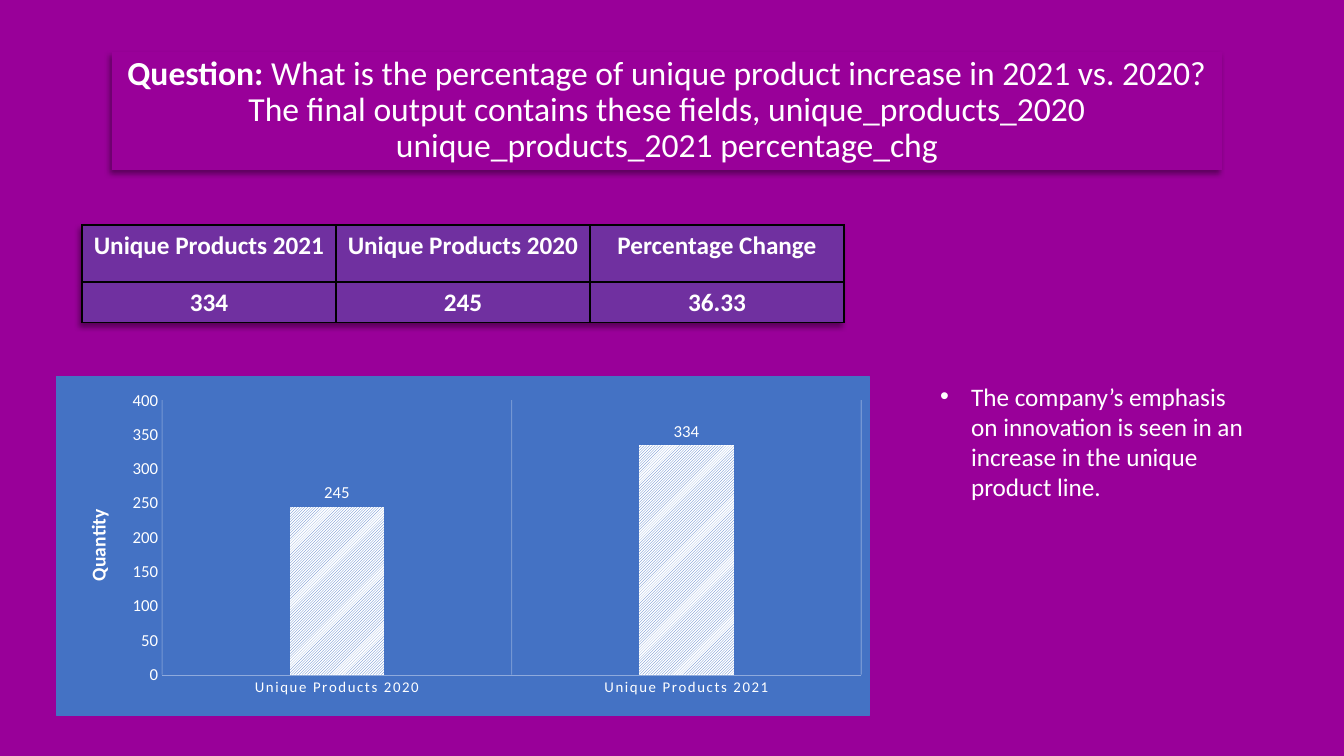
"""Build the unique product increase slide."""
import dataclasses

import pptx
import pptx.chart.data
import pptx.dml.color
import pptx.enum.chart
import pptx.enum.dml
import pptx.enum.text
import pptx.oxml
import pptx.oxml.ns
import pptx.util

Pt = pptx.util.Pt
RGBColor = pptx.dml.color.RGBColor
PURPLE = RGBColor(0x99, 0x00, 0x99)
VIOLET = RGBColor(0x70, 0x30, 0xA0)
BLUE = RGBColor(0x44, 0x72, 0xC4)
PALE_BLUE = RGBColor(0x8F, 0xAA, 0xDC)
WHITE = RGBColor(0xFF, 0xFF, 0xFF)
BLACK = RGBColor(0x00, 0x00, 0x00)
FONT = "Calibri"
NS = pptx.oxml.ns.nsdecls("a", "c")
SCALE = 12192000 / 1344


@dataclasses.dataclass(frozen=True)
class Box:
    left: int
    top: int
    width: int
    height: int

    def emu(self) -> list[int]:
        return [px(v) for v in dataclasses.astuple(self)]


@dataclasses.dataclass(frozen=True)
class Column:
    heading: str
    value: str


COLUMNS = [
    Column("Unique Products 2021", "334"),
    Column("Unique Products 2020", "245"),
    Column("Percentage Change", "36.33"),
]
ROW_HEIGHTS = [57, 40]


def px(value: int) -> int:
    return round(value * SCALE)


def xml(text: str):
    return pptx.oxml.parse_xml(text.replace(" NS", f" {NS}", 1))


def shadow():
    return xml(
        '<a:effectLst NS><a:outerShdw blurRad="50800" dist="38100" dir="8100000" '
        'algn="tr" rotWithShape="0"><a:srgbClr val="000000"><a:alpha val="40000"/>'
        "</a:srgbClr></a:outerShdw></a:effectLst>"
    )


def style(font, size: float, bold: bool = False) -> None:
    font.name, font.size, font.bold = FONT, Pt(size), bold
    font.color.rgb = WHITE


def add_run(p, text: str, size: float, bold: bool = False) -> None:
    r = p.add_run()
    r.text = text
    style(r.font, size, bold)


def place(sp, box: Box) -> None:
    sp.left, sp.top, sp.width, sp.height = box.emu()


def add_title(sp, box: Box) -> None:
    place(sp, box)
    sp.fill.solid()
    sp.fill.fore_color.rgb = PURPLE
    sp.element.spPr.append(shadow())
    tf = sp.text_frame
    tf.word_wrap = True
    tf.auto_size = pptx.enum.text.MSO_AUTO_SIZE.NONE
    tf.vertical_anchor = pptx.enum.text.MSO_ANCHOR.BOTTOM
    p = tf.paragraphs[0]
    p.alignment = pptx.enum.text.PP_ALIGN.CENTER
    p.line_spacing = 0.9
    add_run(p, "Question: ", 24, True)
    add_run(p, "What is the percentage of unique product increase in 2021 vs. 2020?", 24)
    p.add_line_break()
    add_run(p, "The final output contains these fields, unique_products_2020 "
               "unique_products_2021 percentage_chg", 24)


def add_body(sp, box: Box) -> None:
    place(sp, box)
    tf = sp.text_frame
    tf.word_wrap = True
    tf.auto_size = pptx.enum.text.MSO_AUTO_SIZE.NONE
    p = tf.paragraphs[0]
    p.space_before = Pt(0)
    add_run(p, "The company’s emphasis on innovation is seen in an increase "
               "in the unique product line.", 18)
    pPr = p._p.get_or_add_pPr()
    pPr.set("marL", str(px(31)))
    pPr.set("indent", str(-px(31)))
    pPr.append(xml('<a:buFont NS typeface="Arial"/>'))
    pPr.append(xml('<a:buChar NS char="•"/>'))


def fill_cell(cell, text: str) -> None:
    p = cell.text_frame.paragraphs[0]
    p.alignment = pptx.enum.text.PP_ALIGN.CENTER
    add_run(p, text, 18, True)
    tcPr = cell._tc.get_or_add_tcPr()
    for side in ("lnL", "lnR", "lnT", "lnB"):
        tcPr.append(xml(f'<a:{side} NS w="12700"><a:solidFill><a:srgbClr val="{BLACK}"/>'
                        f"</a:solidFill></a:{side}>"))
    cell.fill.solid()
    cell.fill.fore_color.rgb = VIOLET


def add_results(s, box: Box) -> None:
    table = s.shapes.add_table(len(ROW_HEIGHTS), len(COLUMNS), *box.emu()).table
    table._tbl.tblPr.insert(0, shadow())
    for row, height in zip(table.rows, ROW_HEIGHTS):
        row.height = px(height)
    for i, column in enumerate(COLUMNS):
        table.columns[i].width = px(box.width // len(COLUMNS))
        for j, text in enumerate(dataclasses.astuple(column)):
            fill_cell(table.cell(j, i), text)


def layout(**parts: float):
    target = '<c:layoutTarget val="inner"/>' if "w" in parts else ""
    modes = "".join(f'<c:{k}Mode val="edge"/>' for k in parts if k in "xy")
    values = "".join(f'<c:{k} val="{v}"/>' for k, v in parts.items())
    return xml(f"<c:layout NS><c:manualLayout>{target}{modes}{values}"
               "</c:manualLayout></c:layout>")


def set_layout(parent, after: str, new) -> None:
    for old in parent.xpath("c:layout"):
        parent.remove(old)
    before = parent.xpath(after) if after else []
    parent.insert(parent.index(before[0]) + 1 if before else 0, new)


def style_axes(chart) -> None:
    none = pptx.enum.chart.XL_TICK_MARK.NONE
    cat, val = chart.category_axis, chart.value_axis
    for axis, size in ((cat, 10.6), (val, 12)):
        axis.major_tick_mark = axis.minor_tick_mark = none
        style(axis.tick_labels.font, size)
    chart.element.xpath(".//c:catAx/c:txPr//a:defRPr")[0].set("spc", "120")
    cat.format.line.color.rgb = PALE_BLUE
    cat.format.line.width = Pt(0.25)
    cat.has_major_gridlines = True
    grid = cat.major_gridlines.format.line
    grid.color.rgb = WHITE
    grid.width = Pt(0.75)
    color = chart.element.xpath(".//c:catAx/c:majorGridlines//a:srgbClr")[0]
    color.append(xml('<a:alpha NS val="25000"/>'))
    val.has_major_gridlines = False
    val.format.line.fill.background()
    val.minimum_scale, val.maximum_scale, val.major_unit = 0, 400, 50
    add_run(val.axis_title.text_frame.paragraphs[0], "Quantity", 14, True)
    title = chart.element.xpath(".//c:valAx/c:title")[0]
    set_layout(title, "c:tx", layout(x=0.03, y=0.38))


def add_quantity_chart(s, box: Box) -> None:
    data = pptx.chart.data.CategoryChartData()
    data.categories = ["Unique Products 2020", "Unique Products 2021"]
    data.add_series("Series 1", [245, 334])
    kind = pptx.enum.chart.XL_CHART_TYPE.COLUMN_CLUSTERED
    chart = s.shapes.add_chart(kind, *box.emu(), data).chart
    chart.has_legend = chart.has_title = False
    chart.font.name, chart.font.size = FONT, Pt(10)
    style_axes(chart)
    plot = chart.plots[0]
    plot.gap_width, plot.overlap, plot.vary_by_categories = 269, -20, False
    fill = plot.series[0].format.fill
    fill.patterned()
    fill.pattern = pptx.enum.dml.MSO_PATTERN.LIGHT_UPWARD_DIAGONAL
    fill.fore_color.rgb, fill.back_color.rgb = BLUE, WHITE
    plot.has_data_labels = True
    labels = plot.data_labels
    labels.show_value = True
    labels.position = pptx.enum.chart.XL_LABEL_POSITION.OUTSIDE_END
    style(labels.font, 12)
    area = chart.element.xpath("c:chart/c:plotArea")[0]
    set_layout(area, "", layout(x=0.13, y=0.07, w=0.86, h=0.81))
    solid = f'<a:solidFill><a:srgbClr val="{BLUE}"/></a:solidFill>'
    chart.element.xpath("c:chart")[0].addnext(
        xml(f'<c:spPr NS>{solid}<a:ln w="9525">{solid}</a:ln></c:spPr>'))


prs = pptx.Presentation()
prs.slide_width, prs.slide_height = px(1344), px(756)
s = prs.slides.add_slide(prs.slide_layouts[1])
s.background.fill.solid()
s.background.fill.fore_color.rgb = PURPLE
add_title(s.shapes.title, Box(112, 52, 1110, 118))
add_results(s, Box(82, 225, 762, sum(ROW_HEIGHTS)))
add_quantity_chart(s, Box(56, 376, 814, 340))
add_body(s.placeholders[1], Box(930, 376, 326, 194))
prs.save("out.pptx")
